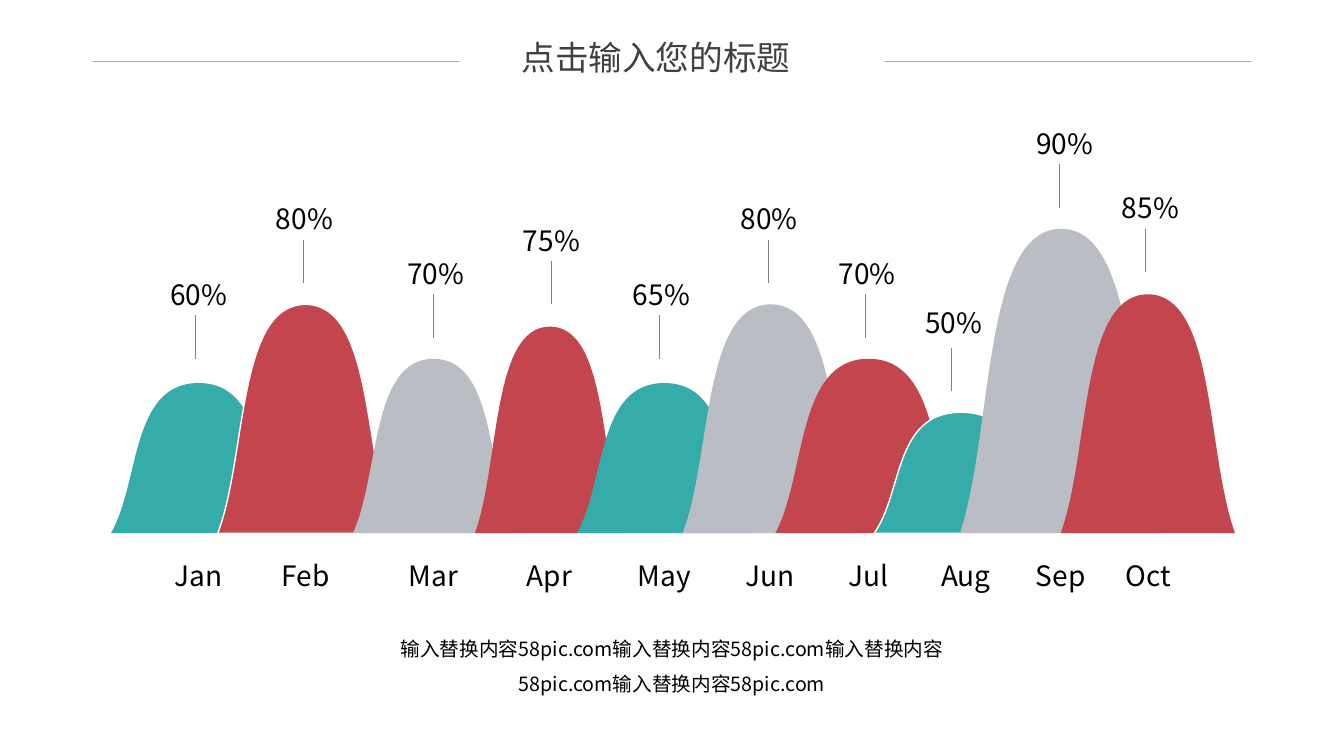
from lxml.etree import SubElement
from pptx import Presentation
from pptx.dml.color import RGBColor
from pptx.enum.shapes import MSO_CONNECTOR
from pptx.enum.text import MSO_ANCHOR, MSO_AUTO_SIZE, PP_ALIGN
from pptx.oxml.ns import qn
from pptx.util import Pt

PX = 9144
FONT = "Noto Sans CJK JP"
TEAL = RGBColor(0x35, 0xAC, 0xA9)
RED = RGBColor(0xC3, 0x45, 0x4E)
SILVER = RGBColor(0xBA, 0xBD, 0xC4)
WHITE = RGBColor(0xFF, 0xFF, 0xFF)
BLACK = RGBColor(0, 0, 0)
TITLE_GRAY = RGBColor(0x40, 0x40, 0x40)
TICK_GRAY = RGBColor(0x80, 0x80, 0x80)
RULE_GRAY = RGBColor(0xA6, 0xA6, 0xA6)

BASE = 529
MONTH_TOP = 549
LABEL_WIDTH, LABEL_HEIGHT = 104, 44
TICK_LENGTH = 43

prs = Presentation()
prs.slide_width = 1333 * PX
prs.slide_height = 750 * PX
slide = prs.slides.add_slide(prs.slide_layouts[5])


def write(box, left, top, width, height, text, size, color, inset=0):
    box.left, box.top, box.width, box.height = (
        v * PX for v in (left, top, width, height))
    frame = box.text_frame
    frame.word_wrap = True
    frame.auto_size = MSO_AUTO_SIZE.NONE
    frame.vertical_anchor = MSO_ANCHOR.MIDDLE
    frame.margin_left = frame.margin_right = inset * PX
    frame.margin_top = frame.margin_bottom = inset // 2 * PX
    frame.text = text
    paragraph = frame.paragraphs[0]
    paragraph.alignment = PP_ALIGN.CENTER
    run = paragraph.runs[0]
    run.font.size = Pt(size)
    run.font.name = FONT
    run.font.color.rgb = color
    SubElement(run.font._element, qn("a:ea")).set("typeface", FONT)
    return frame


def draw_line(x1, y1, x2, y2, color):
    line = slide.shapes.add_connector(
        MSO_CONNECTOR.STRAIGHT, x1 * PX, y1 * PX, x2 * PX, y2 * PX)
    line.line.color.rgb = color
    line.line.width = Pt(0.5)
    SubElement(line._element.spPr, qn("a:effectLst"))


months = [
    ("Jan", "60%", TEAL, 110, 174, 380, 197, 197, 194, 313, False),
    ("Feb", "80%", RED, 216, 174, 302, 303, 302, 301, 238, True),
    ("Mar", "70%", SILVER, 350, 160, 356, 430, 432, 430, 292, False),
    ("Apr", "75%", RED, 471, 149, 324, 545, 547, 547, 259, False),
    ("May", "65%", TEAL, 572, 174, 380, 659, 656, 654, 313, False),
    ("Jun", "80%", SILVER, 677, 175, 302, 764, 763, 762, 238, False),
    ("Jul", "70%", RED, 769, 185, 356, 861, 860, 858, 292, False),
    ("Aug", "50%", TEAL, 867, 173, 409, 958, 946, 944, 345, True),
    ("Sep", "90%", SILVER, 952, 201, 227, 1052, 1056, 1051, 163, False),
    ("Oct", "85%", RED, 1052, 173, 292, 1139, 1141, 1136, 227, False),
]

for (month, share, color, left, width, peak, month_center, share_center,
     tick_x, tick_top, outlined) in months:
    height = BASE - peak
    builder = slide.shapes.build_freeform(left, BASE, scale=PX)
    builder.add_line_segments(
        [(left + width / 2, peak), (left + width, BASE)], close=True)
    hill = builder.convert_to_shape()
    handles = [
        [(width / 6, height * 2 / 3), (width * 0.11, 0)],
        [(width * 0.89, 0), (width * 5 / 6, height * 2 / 3)],
    ]
    for side, side_handles in zip(list(hill._element.iter(qn("a:lnTo"))), handles):
        side.tag = qn("a:cubicBezTo")
        for position, (x, y) in enumerate(side_handles):
            handle = SubElement(side, qn("a:pt"))
            handle.set("x", str(round(x * PX)))
            handle.set("y", str(round(y * PX)))
            side.insert(position, handle)
    outline_size = next(hill._element.iter(qn("a:path")))
    outline_size.set("w", str(width * PX))
    outline_size.set("h", str(height * PX))
    for corner, (x, y) in zip(
            [side[-1] for side in hill._element.iter(qn("a:moveTo"), qn("a:cubicBezTo"))],
            [(0, height), (width / 2, 0), (width, height)]):
        corner.set("x", str(round(x * PX)))
        corner.set("y", str(round(y * PX)))
    hill.shadow.inherit = False
    hill.fill.solid()
    hill.fill.fore_color.rgb = color
    if outlined:
        hill.line.color.rgb = WHITE
        hill.line.width = Pt(1)
    else:
        hill.line.fill.background()

    share_top = 298 if month == "Aug" else tick_top - TICK_LENGTH
    for text, center, top in ((month, month_center, MONTH_TOP),
                              (share, share_center, share_top)):
        write(slide.shapes.add_textbox(0, 0, 0, 0), center - LABEL_WIDTH // 2, top,
              LABEL_WIDTH, LABEL_HEIGHT, text, 20, BLACK)
    draw_line(tick_x, tick_top, tick_x, tick_top + TICK_LENGTH, TICK_GRAY)

footer = write(slide.shapes.add_textbox(0, 0, 0, 0), 353, 615, 627, 112,
               "输入替换内容58pic.com" * 4, 14, BLACK, inset=10)
footer.vertical_anchor = MSO_ANCHOR.TOP
footer.paragraphs[0].line_spacing = 1.5

write(slide.shapes.title, 446, 37, 409, 40, "点击输入您的标题", 24, TITLE_GRAY)
for rule_left in (92, 878):
    draw_line(rule_left, 61, rule_left + 363, 61, RULE_GRAY)

prs.save("out.pptx")
